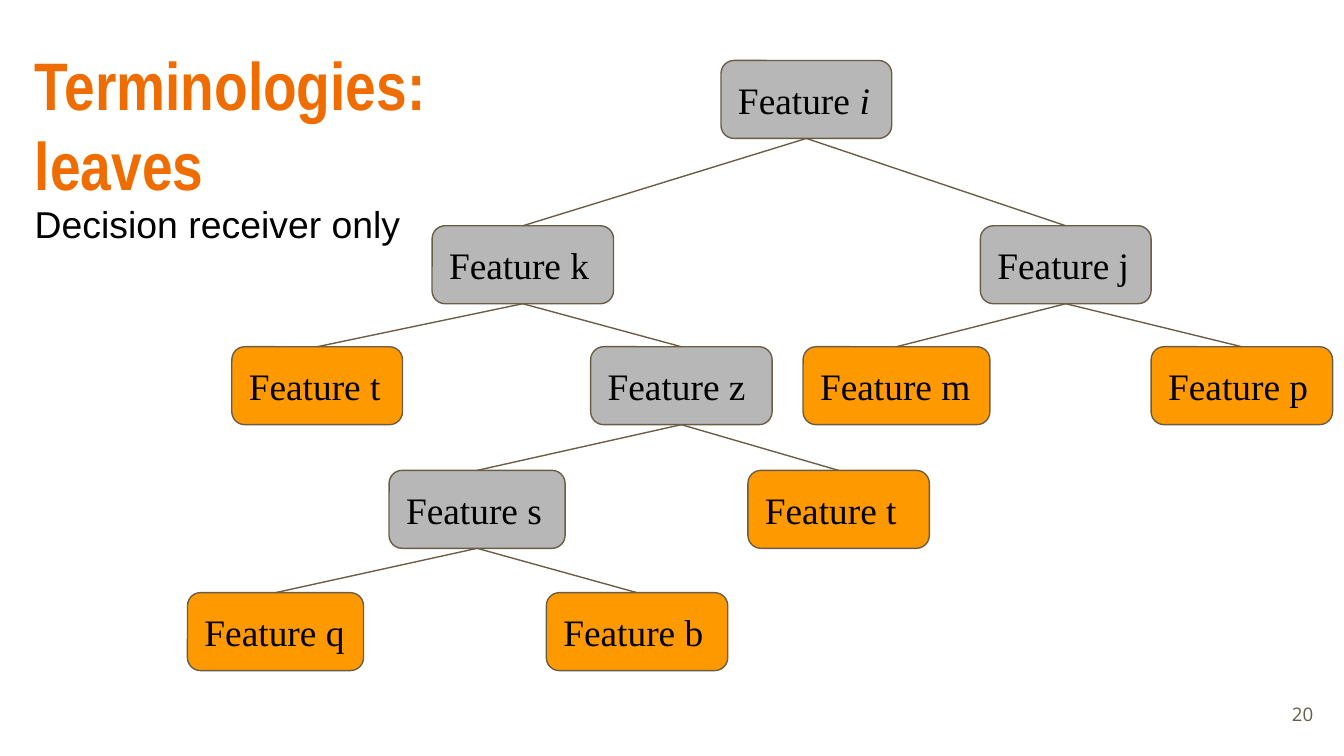
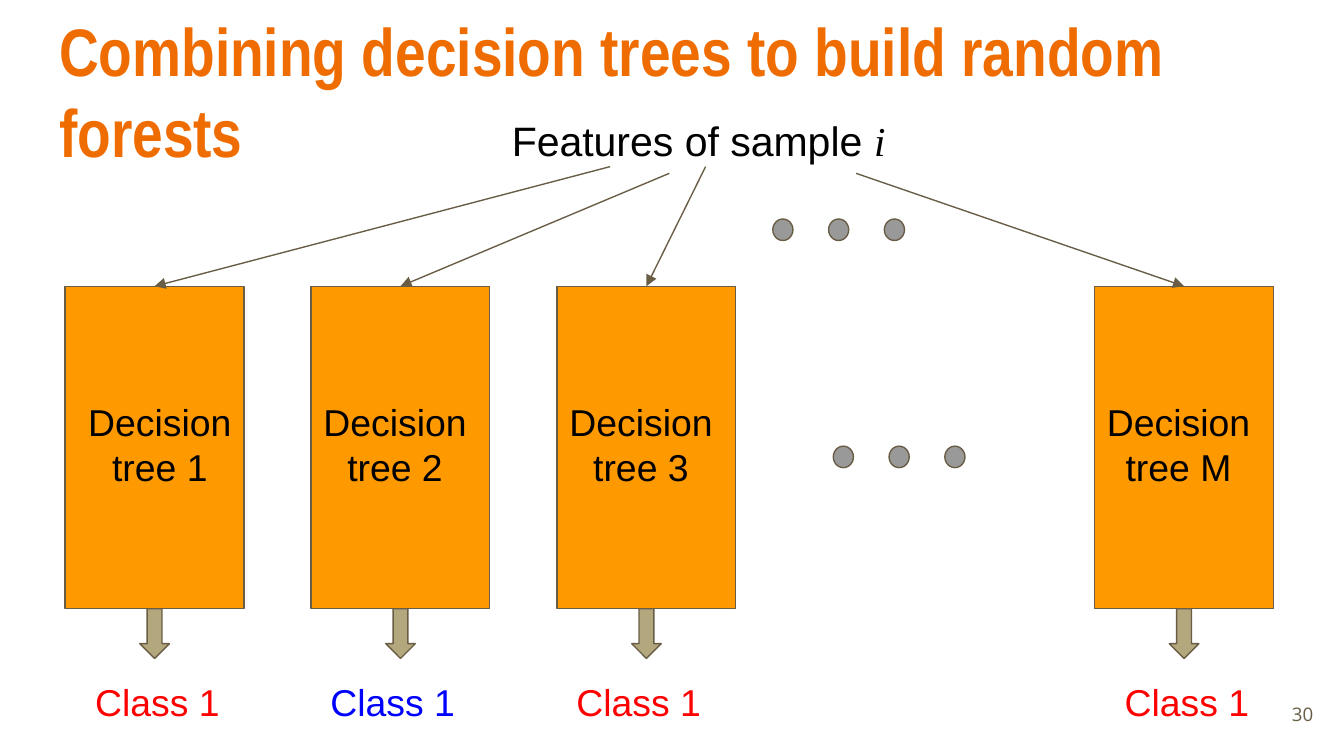
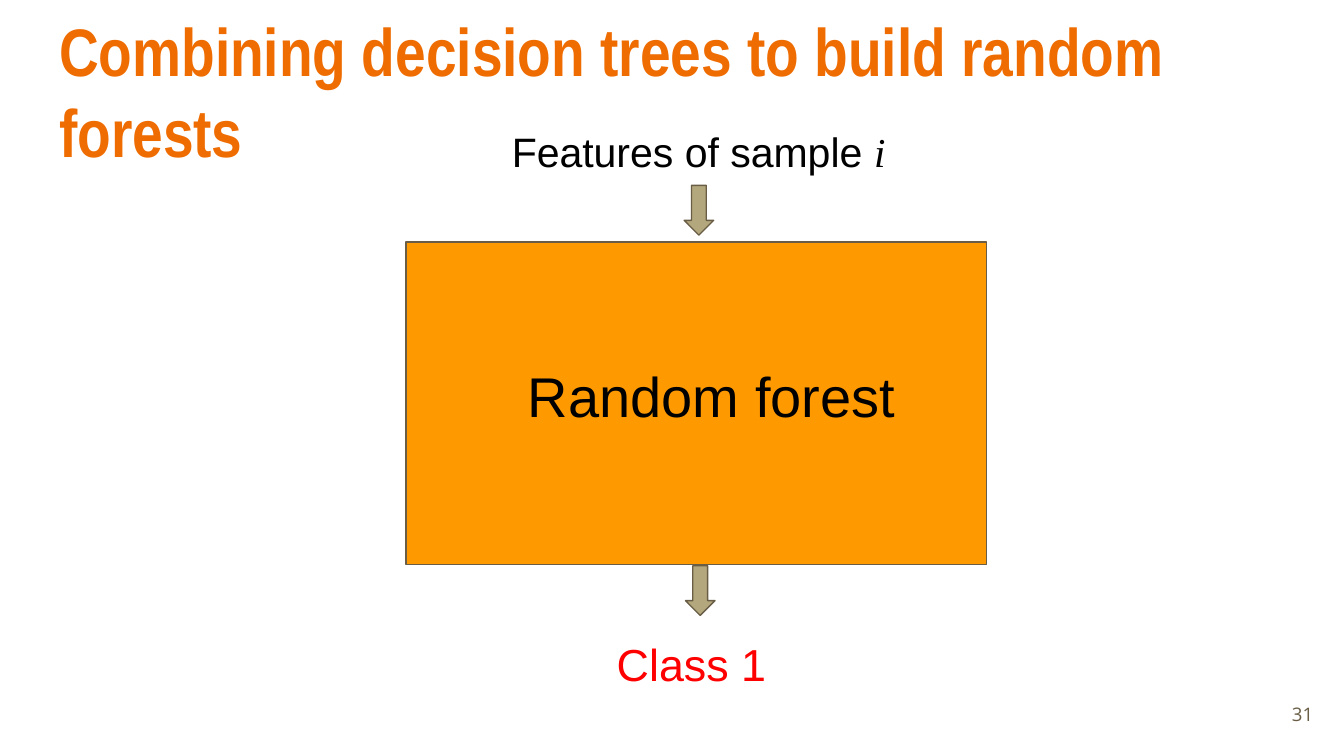
import dataclasses

import lxml.etree
import pptx
import pptx.dml.color
import pptx.enum.shapes
import pptx.enum.text
import pptx.oxml.ns
import pptx.util

RGBColor = pptx.dml.color.RGBColor
SHAPE = pptx.enum.shapes.MSO_SHAPE
ANCHOR = pptx.enum.text.MSO_ANCHOR
ALIGN = pptx.enum.text.PP_ALIGN
qn = pptx.oxml.ns.qn

# Square grid: ten columns across a 16:9 slide.
COLUMNS = 10
ROWS = COLUMNS * 9 / 16
CELL = pptx.util.Inches(1)

TITLE_ORANGE = RGBColor(0xEF, 0x6C, 0x00)
BOX_ORANGE = RGBColor(0xFF, 0x99, 0x00)
NODE_GREY = RGBColor(0xB7, 0xB7, 0xB7)
DOT_GREY = RGBColor(0x99, 0x99, 0x99)
ARROW_TAN = RGBColor(0xB3, 0xA7, 0x7D)
OUTLINE = RGBColor(0x69, 0x5D, 0x46)
BLACK = RGBColor(0, 0, 0)
RED = RGBColor(0xFF, 0, 0)
BLUE = RGBColor(0, 0, 0xFF)

SANS, SERIF = "Arial", "Times New Roman"
TITLE_FONT, NUMBER_FONT = "Arial Narrow", "Open Sans"
LINE_WIDTH = pptx.util.Pt(0.75)
TOP_SITE, BOTTOM_SITE = 0, 2

FOREST_TITLE = "Combining decision trees to build random forests"
FOREST_TITLE_AREA = (0.34, -0.03, 9.32, 0.77)
NODE_ROWS = (0.45, 1.68, 2.58, 3.5, 4.41)
NODE_HEIGHT = 0.58
TREE_TOP, TREE_WIDTH, TREE_HEIGHT = 2.13, 1.33, 2.4
ARROW_WIDTH, ARROW_HEIGHT = 0.22, 0.37


@dataclasses.dataclass
class Node:
    letter: str
    centre: float
    width: float
    children: tuple = ()
    italic: bool = False


FEATURE_TREE = Node("i", 6, 1.27, italic=True, children=(
    Node("k", 3.89, 1.35, (
        Node("t", 2.36, 1.27),
        Node("z", 5.07, 1.35, (
            Node("s", 3.55, 1.31, (
                Node("q", 2.05, 1.31),
                Node("b", 4.74, 1.35))),
            Node("t", 6.24, 1.35))))),
    Node("j", 7.93, 1.27, (
        Node("m", 6.67, 1.39),
        Node("p", 9.24, 1.35)))))


def grid(*lengths):
    return [round(length * CELL) for length in lengths]


def write(frame, text, italic="", size=20, font=SANS, italic_font=SERIF, color=BLACK,
          bold=False, align=ALIGN.LEFT, anchor=ANCHOR.TOP):
    """Fill a text frame, one paragraph a line, with an optional italic ending."""
    frame.word_wrap = True
    frame.auto_size = pptx.enum.text.MSO_AUTO_SIZE.NONE
    frame.vertical_anchor = anchor
    frame.margin_left = frame.margin_right = CELL // 10
    frame.margin_top = frame.margin_bottom = CELL // 10
    frame.text = text
    if italic:
        frame.paragraphs[-1].add_run().text = italic
    for para in frame.paragraphs:
        para.alignment = align
        para.line_spacing = 1.0
        for span in para.runs:
            span.font.size = pptx.util.Pt(size)
            span.font.name = font
            span.font.bold = bold
            span.font.color.rgb = color
    if italic:
        span.font.italic = True
        span.font.name = italic_font


def add_text(page, area, text, **style):
    box = page.shapes.add_textbox(*grid(*area))
    write(box.text_frame, text, **style)


def add_page(deck, title, area, number):
    page = deck.slides.add_slide(deck.slide_layouts.get_by_name("Title Only"))
    heading = page.shapes.title
    heading.left, heading.top, heading.width, heading.height = grid(*area)
    write(heading.text_frame, title, size=36, font=TITLE_FONT,
          color=TITLE_ORANGE, bold=True)
    add_text(page, (9.27, 5.1, 0.6, 0.43), str(number), size=10, font=NUMBER_FONT,
             color=OUTLINE, align=ALIGN.RIGHT, anchor=ANCHOR.MIDDLE)
    return page


def add_box(page, kind, area, fill):
    box = page.shapes.add_shape(kind, *grid(*area))
    box.shadow.inherit = False
    box.fill.solid()
    box.fill.fore_color.rgb = fill
    box.line.color.rgb = OUTLINE
    box.line.width = LINE_WIDTH
    return box


def add_line(page, start, target, arrow=False):
    """Join a point to the top of the target shape."""
    line = page.shapes.add_connector(
        pptx.enum.shapes.MSO_CONNECTOR.STRAIGHT, *grid(*start, *start))
    line.end_connect(target, TOP_SITE)
    line.line.color.rgb = OUTLINE
    line.line.width = LINE_WIDTH
    properties = line.element.find(qn("p:spPr"))
    if arrow:
        lxml.etree.SubElement(properties.find(qn("a:ln")), qn("a:tailEnd"), type="triangle")
    lxml.etree.SubElement(properties, qn("a:effectLst"))
    return line


def add_down_arrow(page, centre, top):
    add_box(page, SHAPE.DOWN_ARROW,
            (centre - ARROW_WIDTH / 2, top, ARROW_WIDTH, ARROW_HEIGHT), ARROW_TAN)


def add_dots(page, left, top):
    for index in range(3):
        add_box(page, SHAPE.OVAL, (left + index * 0.83 / 2, top, 0.15, 0.16), DOT_GREY)


def add_sample_label(page, top):
    add_text(page, (3.71, top, 3.07, 0.57), "Features of sample ", italic="i", size=22)


def add_branch(page, node, depth=0):
    """Draw a node and everything below it; nodes without children are leaves."""
    top = NODE_ROWS[depth]
    box = add_box(page, SHAPE.ROUNDED_RECTANGLE,
                  (node.centre - node.width / 2, top, node.width, NODE_HEIGHT),
                  NODE_GREY if node.children else BOX_ORANGE)
    ending = node.letter if node.italic else ""
    text = "Feature " if node.italic else f"Feature {node.letter}"
    write(box.text_frame, text, italic=ending, font=SERIF, anchor=ANCHOR.MIDDLE)
    for child in node.children:
        child_box = add_branch(page, child, depth + 1)
        line = add_line(page, (node.centre, top + NODE_HEIGHT), child_box)
        line.begin_connect(box, BOTTOM_SITE)
    return box


def add_decision_tree(page, name, centre, source, label_shift, class_shift, color):
    box = add_box(page, SHAPE.RECTANGLE,
                  (centre - TREE_WIDTH / 2, TREE_TOP, TREE_WIDTH, TREE_HEIGHT), BOX_ORANGE)
    add_line(page, source, box, arrow=True)
    add_text(page, (centre + label_shift - TREE_WIDTH / 2, 2.87, TREE_WIDTH, 0.84),
             f"Decision tree {name}", align=ALIGN.CENTER)
    add_down_arrow(page, centre, TREE_TOP + TREE_HEIGHT)
    add_text(page, (centre + class_shift - 0.58, 4.95, 1.16, 0.42), "Class 1", color=color)


def build_leaves(deck):
    page = add_page(deck, "Terminologies:\nleaves", (0.16, 0.22, 5.4, 1.56), 20)
    add_branch(page, FEATURE_TREE)
    add_text(page, (0.16, 1.4, 2.95, 0.77), "Decision receiver only")


def build_trees(deck):
    page = add_page(deck, FOREST_TITLE, FOREST_TITLE_AREA, 30)
    add_sample_label(page, 0.76)
    for tree in (
        ("1", 1.15, (4.54, 1.24), 0.04, 0.04, RED),
        ("2", 2.98, (4.98, 1.29), -0.04, -0.04, BLUE),
        ("3", 4.81, (5.25, 1.24), -0.04, -0.04, RED),
        ("M", 8.81, (6.37, 1.29), -0.04, 0.04, RED),
    ):
        add_decision_tree(page, *tree)
    add_dots(page, 5.75, 1.63)
    add_dots(page, 6.2, 3.32)


def build_forest(deck):
    page = add_page(deck, FOREST_TITLE, FOREST_TITLE_AREA, 31)
    add_sample_label(page, 0.84)
    add_down_arrow(page, 5.2, 1.38)
    add_box(page, SHAPE.RECTANGLE, (3.02, 1.8, 4.32, TREE_HEIGHT), BOX_ORANGE)
    add_text(page, (3.71, 2.59, 3.17, 0.84), "Random forest", size=30, align=ALIGN.CENTER)
    add_down_arrow(page, 5.21, 4.21)
    add_text(page, (4.49, 4.64, 1.59, 0.42), "Class 1", size=24, color=RED)


def main():
    deck = pptx.Presentation()
    deck.slide_width, deck.slide_height = grid(COLUMNS, ROWS)
    build_leaves(deck)
    build_trees(deck)
    build_forest(deck)
    deck.save("out.pptx")


if __name__ == "__main__":
    main()
